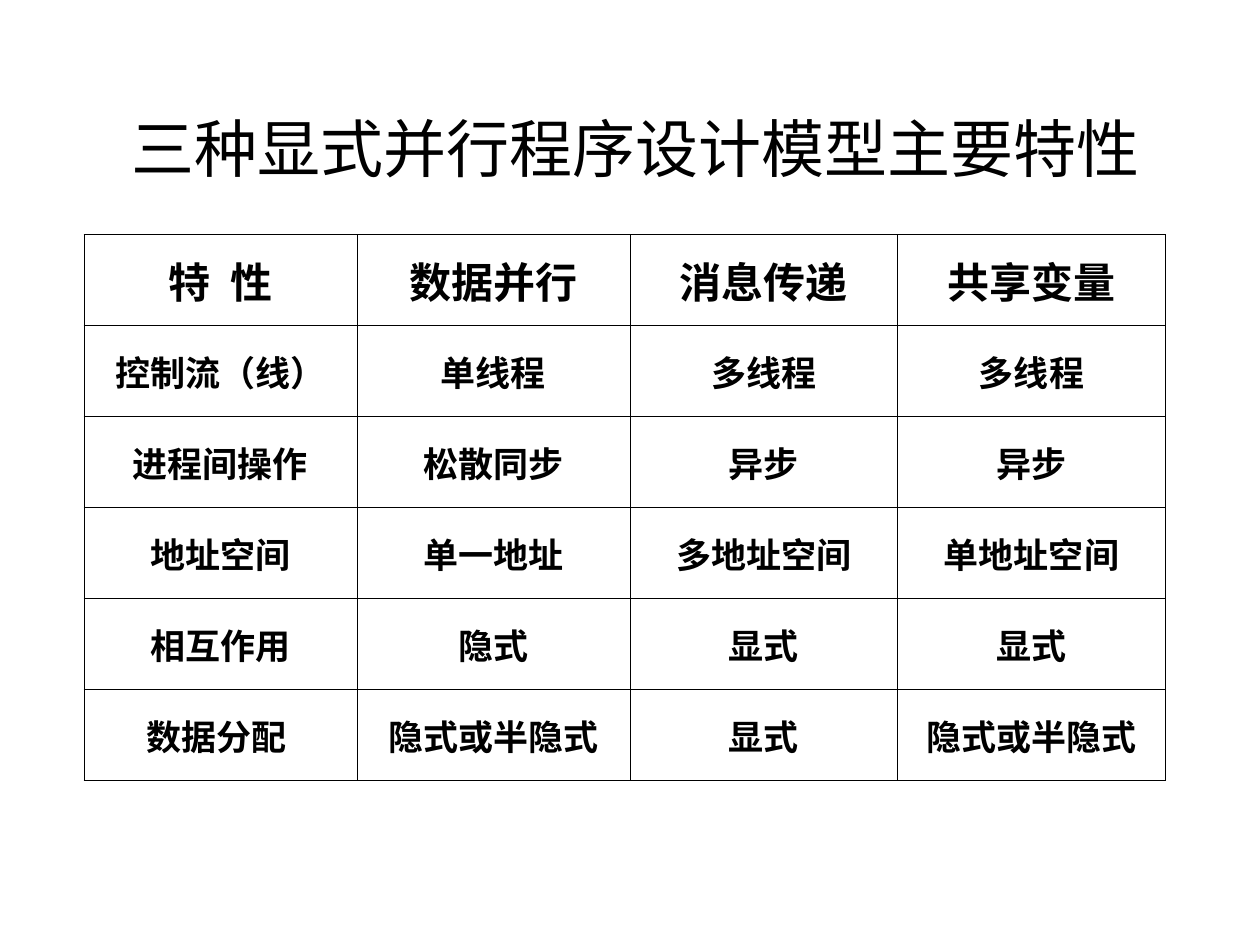
"""Build a slide comparing three explicit parallel programming models."""
from dataclasses import dataclass

from lxml import etree
from pptx import Presentation
from pptx.dml.color import RGBColor
from pptx.enum.text import MSO_ANCHOR, PP_ALIGN
from pptx.oxml.ns import qn
from pptx.util import Pt

CENTER = PP_ALIGN.CENTER
MIDDLE = MSO_ANCHOR.MIDDLE
COLORS = {"text": "000000", "border": "000000"}
FONT_SC = "Noto Sans CJK SC"
FONT_JP = "Noto Sans CJK JP"
BORDER_WIDTH = 0.45
HANGING = 27
COLUMN_WIDTHS = (156, 156, 153, 153)
ROW_HEIGHT = 52


@dataclass(frozen=True)
class TextStyle:
    size: float
    latin: str
    east_asian: str
    bold: bool = False


@dataclass(frozen=True)
class Feature:
    name: str
    values: tuple[str, str, str]
    size: float = 20


FEATURES = (
    Feature("特  性", ("数据并行", "消息传递", "共享变量"), 24),
    Feature("控制流（线）", ("单线程", "多线程", "多线程")),
    Feature("进程间操作", ("松散同步", "异步", "异步")),
    Feature("地址空间", ("单一地址", "多地址空间", "单地址空间")),
    Feature("相互作用", ("隐式", "显式", "显式")),
    Feature("数据分配 ", ("隐式或半隐式", "显式", "隐式或半隐式")),
)


def add_text(p, text: str, style: TextStyle) -> None:
    """Add one centred, styled run to a paragraph."""
    p.alignment = CENTER
    r = p.add_run()
    r.text = text
    r.font.size = Pt(style.size)
    r.font.bold = style.bold
    r.font.name = style.latin
    r.font.color.rgb = RGBColor.from_string(COLORS["text"])
    ea = etree.SubElement(r.font._element, qn("a:ea"))
    ea.set("typeface", style.east_asian)


def add_borders(cell) -> None:
    """Draw a thin line on all four sides of a cell."""
    tc_pr = cell._tc.get_or_add_tcPr()
    for side in ("lnL", "lnR", "lnT", "lnB"):
        line = etree.SubElement(tc_pr, qn(f"a:{side}"), w=str(Pt(BORDER_WIDTH)))
        fill = etree.SubElement(line, qn("a:solidFill"))
        etree.SubElement(fill, qn("a:srgbClr"), val=COLORS["border"])


def fill_cell(cell, text: str, style: TextStyle) -> None:
    """Write and format one table cell."""
    add_borders(cell)
    cell.fill.background()
    cell.vertical_anchor = MIDDLE
    p = cell.text_frame.paragraphs[0]
    add_text(p, text, style)
    p_pr = p._p.get_or_add_pPr()
    p_pr.set("marL", str(Pt(HANGING)))
    p_pr.set("indent", str(Pt(-HANGING)))


def add_title(s, text: str) -> None:
    """Place and format the title."""
    sp = s.shapes.title
    sp.left, sp.top, sp.width, sp.height = Pt(54), Pt(54), Pt(618), Pt(60)
    tf = sp.text_frame
    tf.word_wrap = True
    tf.vertical_anchor = MIDDLE
    add_text(tf.paragraphs[0], text, TextStyle(36, "Arial", FONT_SC))


def add_feature_table(s, features: tuple[Feature, ...]) -> None:
    """Add the comparison table, one feature a row."""
    table = s.shapes.add_table(
        len(features), len(COLUMN_WIDTHS), Pt(48), Pt(134),
        Pt(sum(COLUMN_WIDTHS)), Pt(ROW_HEIGHT * len(features)),
    ).table
    table.horz_banding = False
    for column, width in zip(table.columns, COLUMN_WIDTHS):
        column.width = Pt(width)
    for row, feature in zip(table.rows, features):
        row.height = Pt(ROW_HEIGHT)
        for i, text in enumerate((feature.name, *feature.values)):
            font = FONT_JP if i else FONT_SC
            fill_cell(row.cells[i], text, TextStyle(feature.size, font, font, True))


def main() -> None:
    """Build and save the slide."""
    prs = Presentation()
    prs.slide_width, prs.slide_height = Pt(720), Pt(540)
    s = prs.slides.add_slide(prs.slide_layouts[5])
    add_title(s, " 三种显式并行程序设计模型主要特性 ")
    add_feature_table(s, FEATURES)
    prs.save("out.pptx")


if __name__ == "__main__":
    main()
